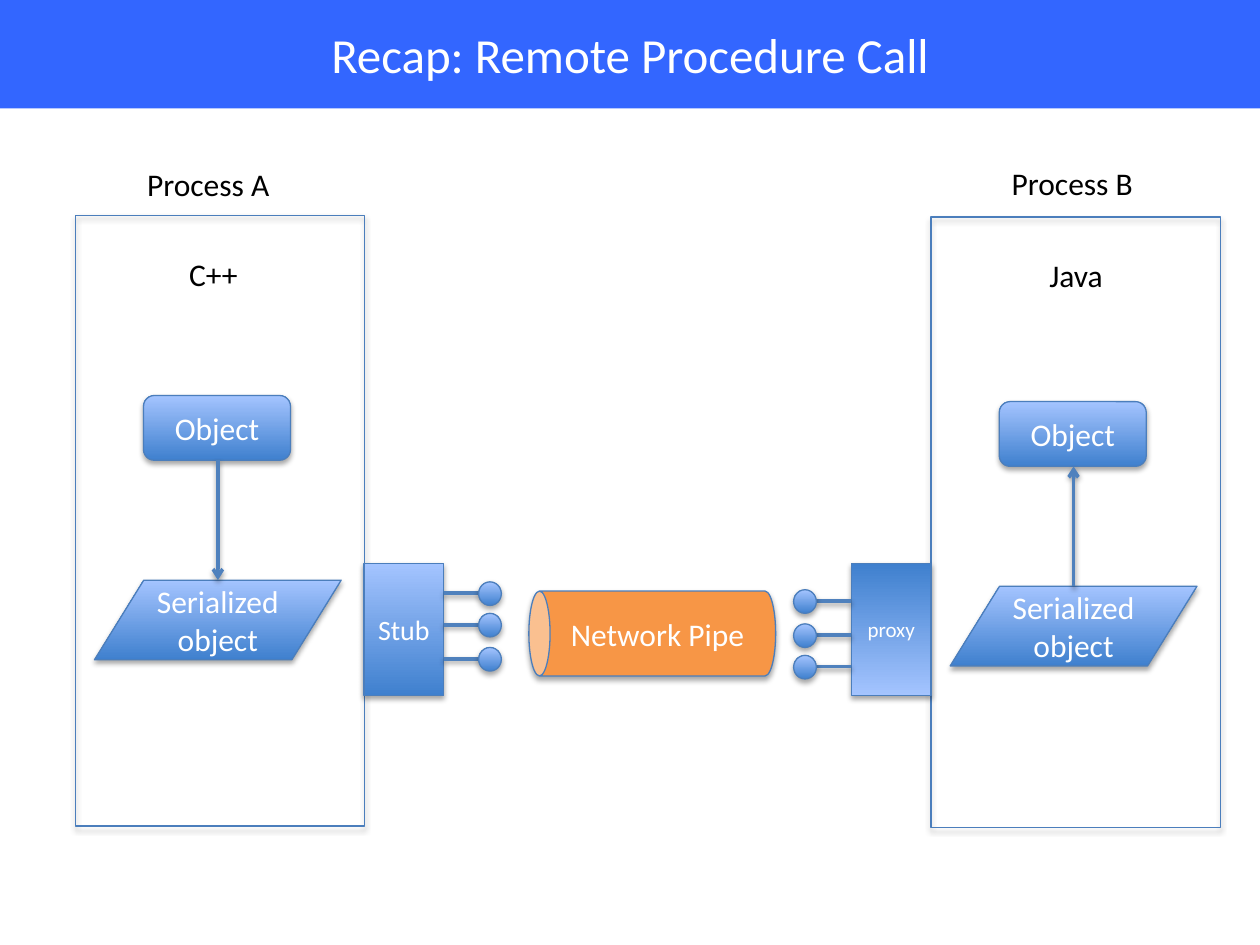
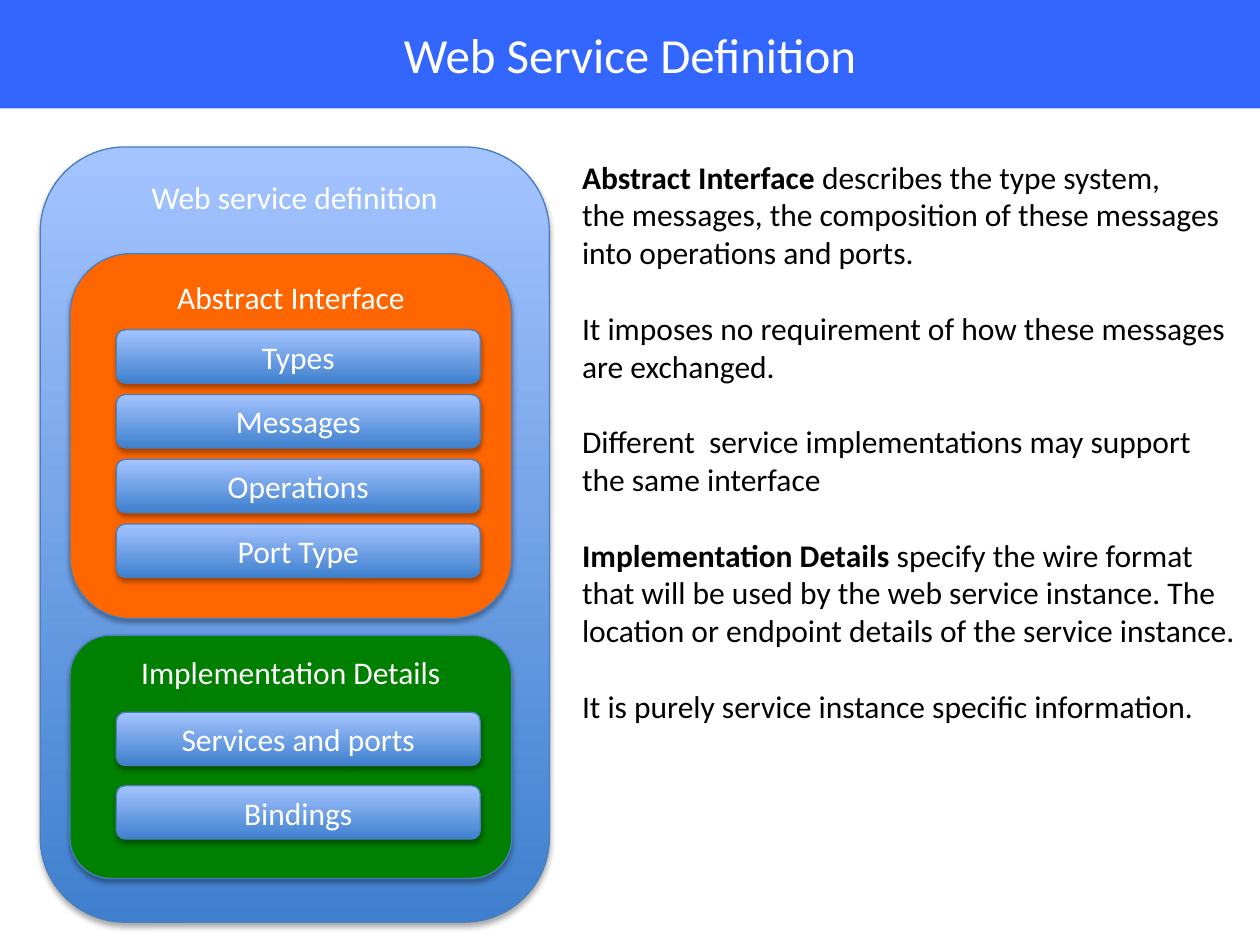
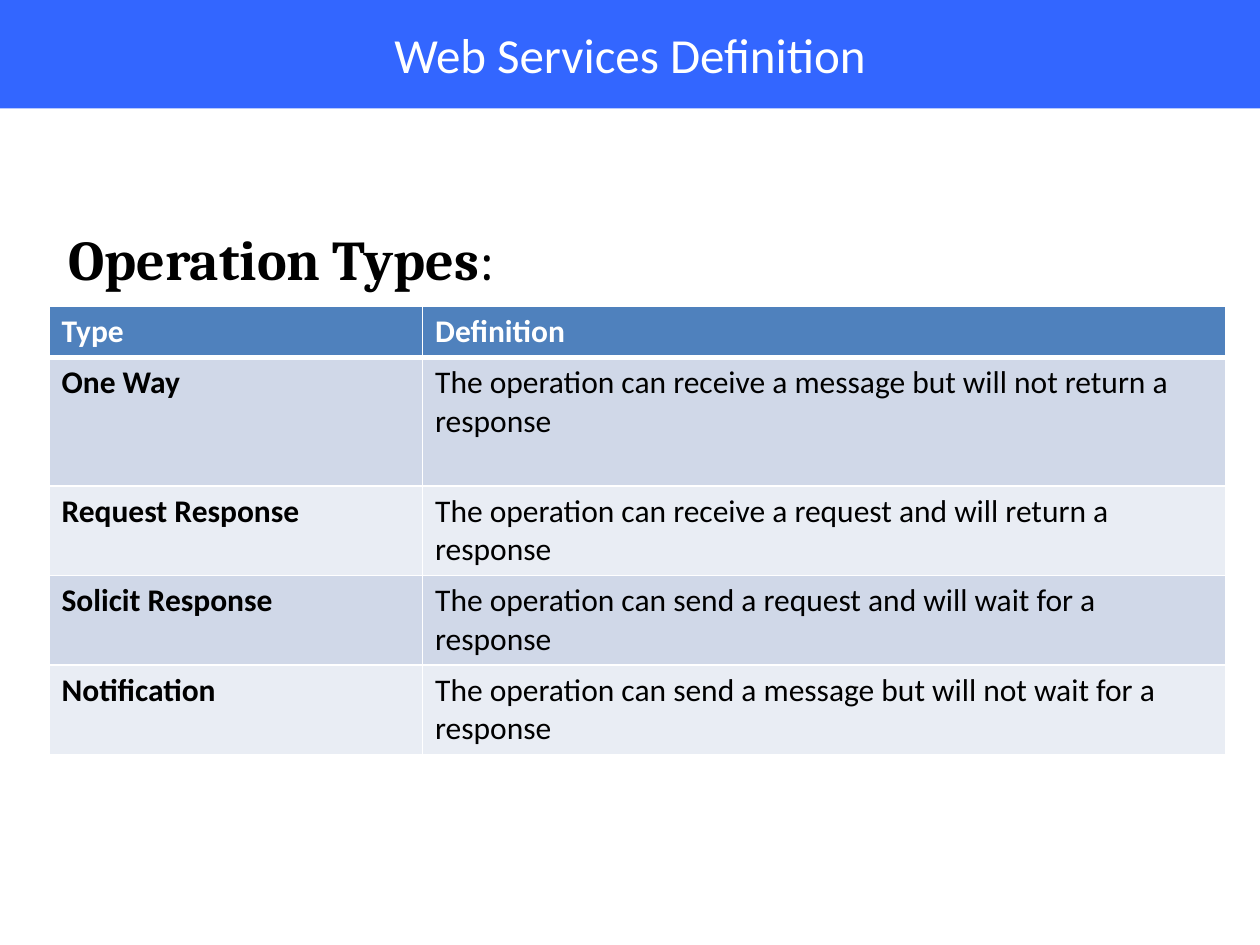
import pptx
import pptx.dml.color
import pptx.enum.shapes
import pptx.enum.text
import pptx.oxml
import pptx.oxml.ns
import pptx.util

Pt = pptx.util.Pt
RGBColor = pptx.dml.color.RGBColor
SHAPE = pptx.enum.shapes.MSO_SHAPE
ANCHOR = pptx.enum.text.MSO_ANCHOR
ALIGN = pptx.enum.text.PP_ALIGN

BAND_BLUE = RGBColor(0x33, 0x66, 0xFF)
DEEP_BLUE = RGBColor(0x3F, 0x80, 0xCE)
PALE_BLUE = RGBColor(0xA4, 0xC4, 0xFF)
OUTLINE = RGBColor(0x4B, 0x7E, 0xBC)
ACCENT = RGBColor(0x4F, 0x81, 0xBD)
ORANGE = RGBColor(0xF7, 0x96, 0x46)
BRIGHT_ORANGE = RGBColor(0xFF, 0x66, 0x00)
GREEN = RGBColor(0x00, 0x80, 0x00)
ROW_DARK = RGBColor(0xD0, 0xD8, 0xE8)
ROW_LIGHT = RGBColor(0xE9, 0xED, 0xF4)
WHITE = RGBColor(0xFF, 0xFF, 0xFF)
BLACK = RGBColor(0x00, 0x00, 0x00)

# Gradient angles, counter-clockwise from the deep blue end
LIGHT_TOP = 90
LIGHT_BOTTOM = 270


def append_xml(parent, markup):
    """Append an element written with the a: prefix."""
    head, rest = markup.split(" ", 1)
    namespace = pptx.oxml.ns.nsdecls("a")
    parent.append(pptx.oxml.parse_xml(f"{head} {namespace} {rest}"))


def add_shadow(shape, distance, opacity):
    append_xml(
        shape._element.spPr,
        f'<a:effectLst ><a:outerShdw blurRad="{Pt(3.1)}" dist="{Pt(distance)}" '
        'dir="5400000" rotWithShape="0"><a:srgbClr val="000000">'
        f'<a:alpha val="{opacity * 1000}"/></a:srgbClr></a:outerShdw></a:effectLst>',
    )


class Deck:
    """Holds the style, the current slide and the shapes being added to."""

    font = "Calibri"
    size = 18

    def __init__(self):
        self.presentation = pptx.Presentation()
        self.presentation.slide_width = Pt(720)
        self.presentation.slide_height = Pt(540)

    def new_slide(self, title):
        layout = self.presentation.slide_layouts[5]
        self.slide = self.presentation.slides.add_slide(layout)
        self.canvas = self.slide.shapes
        band = self.slide.shapes.title
        band.left, band.top, band.width, band.height = Pt(0), Pt(0), Pt(720), Pt(62)
        band.fill.solid()
        band.fill.fore_color.rgb = BAND_BLUE
        band.text_frame.vertical_anchor = ANCHOR.MIDDLE
        paragraph = band.text_frame.paragraphs[0]
        paragraph.alignment = ALIGN.CENTER
        self.run(paragraph, title, WHITE, size=28)

    def start_group(self):
        self.canvas = self.slide.shapes.add_group_shape().shapes

    def end_group(self):
        self.canvas = self.slide.shapes

    def run(self, paragraph, text, color, size=None, bold=False, font=None):
        """Add text to a paragraph, with a line break for each newline."""
        for index, line in enumerate(text.split("\n")):
            if index:
                paragraph.add_line_break()
            run = paragraph.add_run()
            run.text = line
            run.font.name = font or self.font
            run.font.size = Pt(size or self.size)
            run.font.bold = bold
            run.font.color.rgb = color

    def shape(self, kind, left, top, width, height, text="", fill=None,
              size=None, anchor=ANCHOR.MIDDLE, light=LIGHT_TOP):
        """Add a preset shape with the blue gradient unless a fill is given."""
        shape = self.canvas.add_shape(kind, Pt(left), Pt(top), Pt(width), Pt(height))
        if fill:
            shape.fill.solid()
            shape.fill.fore_color.rgb = fill
        else:
            shape.fill.gradient()
            shape.fill.gradient_angle = light
            for stop, color in zip(shape.fill.gradient_stops, (DEEP_BLUE, PALE_BLUE)):
                stop.color.rgb = color
        shape.line.color.rgb = OUTLINE
        shape.line.width = Pt(0.75)
        add_shadow(shape, 1.8, 35)
        if text:
            shape.text_frame.vertical_anchor = anchor
            paragraph = shape.text_frame.paragraphs[0]
            paragraph.alignment = ALIGN.CENTER
            self.run(paragraph, text, WHITE, size)
        return shape

    def frame(self, left, top, width, height):
        self.shape(SHAPE.RECTANGLE, left, top, width, height).fill.background()

    def line(self, x1, y1, x2, y2, arrow=False):
        connector = self.canvas.add_connector(
            pptx.enum.shapes.MSO_CONNECTOR.STRAIGHT, Pt(x1), Pt(y1), Pt(x2), Pt(y2))
        connector.line.color.rgb = ACCENT
        connector.line.width = Pt(2)
        if arrow:
            outline = connector._element.spPr.find(pptx.oxml.ns.qn("a:ln"))
            append_xml(outline, '<a:tailEnd type="arrow"/>')
        add_shadow(connector, 1.6, 38)

    def text(self, left, top, width, height, *paragraphs, gap=0, **style):
        """Add a text box; each paragraph is a list of (text, bold) pairs."""
        box = self.canvas.add_textbox(Pt(left), Pt(top), Pt(width), Pt(height))
        frame = box.text_frame
        frame.word_wrap = False
        frame.auto_size = pptx.enum.text.MSO_AUTO_SIZE.SHAPE_TO_FIT_TEXT
        for index, runs in enumerate(paragraphs):
            paragraph = frame.add_paragraph() if index else frame.paragraphs[0]
            if index and gap:
                paragraph.space_before = Pt(gap)
            for text, bold in runs:
                self.run(paragraph, text, BLACK, bold=bold, **style)

    def table(self, left, top, widths, heights, rows):
        table = self.canvas.add_table(
            len(rows), len(widths), Pt(left), Pt(top),
            Pt(sum(widths)), Pt(sum(heights))).table
        for column, width in zip(table.columns, widths):
            column.width = Pt(width)
        for row, height in zip(table.rows, heights):
            row.height = Pt(height)
        for row_index, texts in enumerate(rows):
            header = row_index == 0
            for column_index, text in enumerate(texts):
                cell = table.cell(row_index, column_index)
                self.borders(cell, top=3 if row_index == 1 else 1, bottom=3 if header else 1)
                cell.fill.solid()
                cell.fill.fore_color.rgb = (
                    ACCENT if header else ROW_DARK if row_index % 2 else ROW_LIGHT)
                self.run(cell.text_frame.paragraphs[0], text,
                         WHITE if header else BLACK, bold=header or column_index == 0)

    def borders(self, cell, top, bottom):
        properties = cell._tc.get_or_add_tcPr()
        for side, width in (("L", 1), ("R", 1), ("T", top), ("B", bottom)):
            append_xml(properties, f'<a:ln{side} w="{Pt(width)}"><a:solidFill>'
                                   f'<a:srgbClr val="{WHITE}"/></a:solidFill></a:ln{side}>')


def add_process(deck, left, top, object_top, serialized_top, sending):
    """Add a process frame with its object, serialized object and arrow."""
    deck.frame(left, top, 165.5, 349)
    deck.shape(SHAPE.ROUNDED_RECTANGLE, left + 39, object_top, 84, 37, "Object")
    deck.shape(SHAPE.FLOWCHART_DATA, left + 11, serialized_top, 141, 45.5, "Serialized object")
    ends = [object_top + 37, serialized_top]
    start, end = ends if sending else reversed(ends)
    deck.line(left + 81.5, start, left + 81.5, end, arrow=True)


def add_endpoint(deck, left, text, size, light, edge, direction, pin_heights):
    """Add a stub or proxy with its pins pointing in the given direction."""
    deck.start_group()
    deck.shape(SHAPE.RECTANGLE, left, 322, 45.5, 75.5, text, size=size, light=light)
    for height in pin_heights:
        deck.line(edge, height, edge + direction * 21, height)
        deck.shape(SHAPE.OVAL, edge + direction * 26.5 - 6.5, height - 6.5, 13, 13.5)
    deck.end_group()


def build_recap(deck):
    deck.new_slide("Recap: Remote Procedure Call")
    add_process(deck, 43, 123, 226, 331.5, sending=True)
    add_process(deck, 532, 124, 229.5, 335, sending=False)
    add_endpoint(deck, 208, "Stub", 16, LIGHT_TOP, 253.5, 1, (339, 357, 376.5))
    add_endpoint(deck, 486.5, "proxy", 12, LIGHT_BOTTOM, 486.5, -1, (343.5, 363, 381))
    pipe = deck.shape(SHAPE.CAN, 348.5, 291.5, 48.5, 141, "Network Pipe", fill=ORANGE)
    pipe.rotation = 270
    pipe.text_frame._txBody.bodyPr.set("vert", "vert")
    for left, top, width, label in (
            (77, 90.5, 85.5, "Process A"), (571, 90, 85, "Process B"),
            (101, 142, 42.5, "C++"), (592.5, 142.5, 46, "Java")):
        deck.text(left, top, width, 29, [(label, False)])


def add_layer(deck, box, title, fill=None, items=(), first_top=0, step=0):
    """Add a titled rounded box with a column of bars in it."""
    deck.shape(SHAPE.ROUNDED_RECTANGLE, *box, title, fill=fill, anchor=ANCHOR.TOP)
    for index, item in enumerate(items):
        deck.shape(SHAPE.ROUNDED_RECTANGLE, 66.5, first_top + index * step, 208, 30.5, item)


def build_definition(deck):
    deck.new_slide("Web Service Definition")
    add_layer(deck, (23, 84, 291, 443), "Web service definition")
    add_layer(deck, (40, 145, 252.5, 208.5), "Abstract Interface", BRIGHT_ORANGE,
              ("Types", "Messages", "Operations", "Port Type"), 188.5, 37)
    add_layer(deck, (40, 363, 252.5, 139), "Implementation Details", GREEN,
              ("Services and ports", "Bindings"), 407, 42)
    deck.text(
        325.5, 86.5, 392.5, 334,
        [("Abstract Interface", True),
         (" describes the type system,\nthe messages, the composition of these messages\n"
          "into operations and ports.", False)],
        [("It imposes no requirement of how these messages\nare exchanged.", False)],
        [("Different  service implementations may support \nthe same interface", False)],
        [("Implementation Details", True),
         (" specify the wire format\nthat will be used by the web service instance. The\n"
          "location or endpoint details of the service instance.", False)],
        [("It is purely service instance specific information.", False)],
        gap=21.6)


def build_operations(deck):
    deck.new_slide("Web Services Definition")
    deck.table(
        28, 175, (213.5, 459), (29, 73.5, 51, 51, 51),
        (("Type", "Definition"),
         ("One Way", "The operation can receive a message but will not return a response"),
         ("Request Response", "The operation can receive a request and will return a response"),
         ("Solicit Response", "The operation can send a request and will wait for a response"),
         ("Notification", "The operation can send a message but will not wait for a response")))
    deck.text(32, 124.5, 270, 46, [("Operation Types", True), (":", False)],
              size=32, font="Cambria")


def main():
    deck = Deck()
    build_recap(deck)
    build_definition(deck)
    build_operations(deck)
    deck.presentation.save("out.pptx")


if __name__ == "__main__":
    main()
